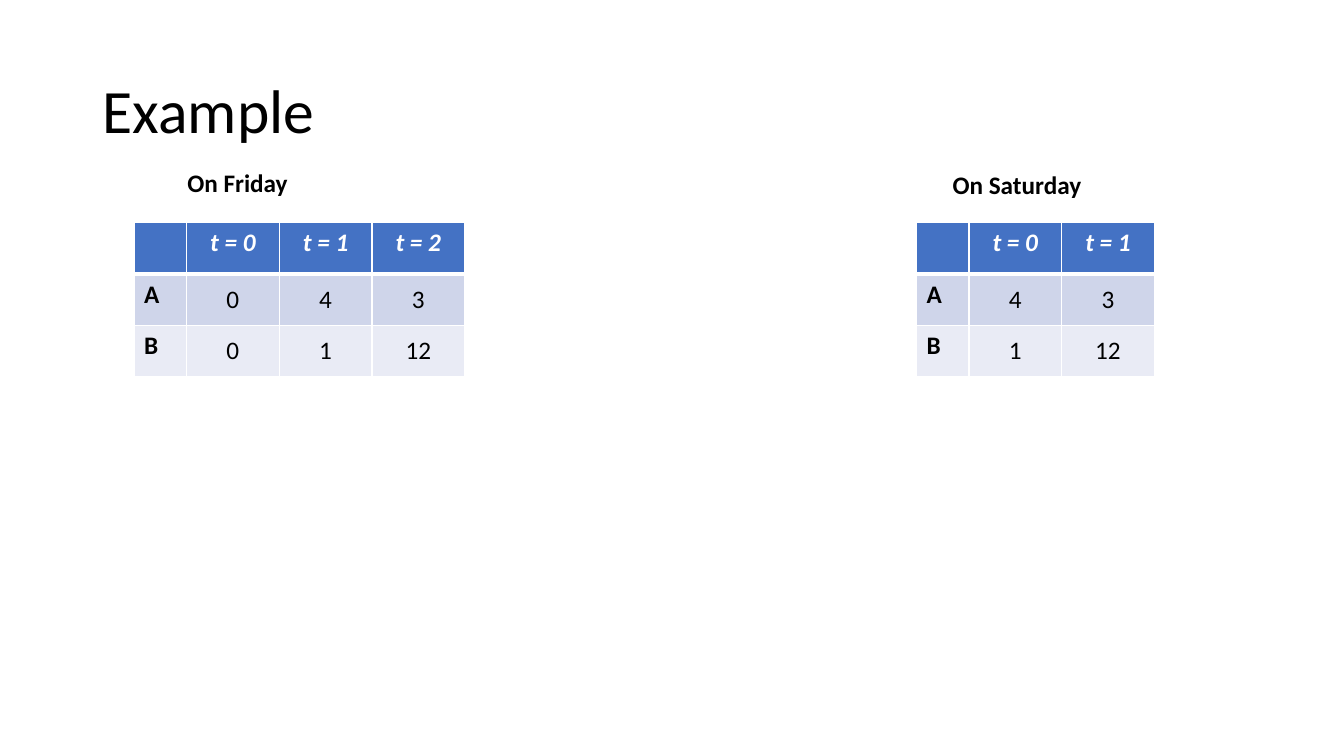
from lxml import etree
from pptx import Presentation
from pptx import util as u
from pptx.dml.color import RGBColor
from pptx.enum import text
from pptx.oxml import ns

PX = 9144  # EMU, 100 px to the inch
FONT = "Calibri"
BLACK = RGBColor(0x00, 0x00, 0x00)
WHITE = RGBColor(0xFF, 0xFF, 0xFF)
HEADER_BLUE = RGBColor(0x44, 0x72, 0xC4)
BANDS = [RGBColor(0xCF, 0xD5, 0xEA), RGBColor(0xE9, 0xEB, 0xF5)]

TABLE_TOP = 221
ROW_HEIGHT = 51
LABEL_WIDTH = 52
VALUE_WIDTH = 92

FRIDAY = [["", "t = 0", "t = 1", "t = 2"], ["A", "0", "4", "3"], ["B", "0", "1", "12"]]
SATURDAY = [["", "t = 0", "t = 1"], ["A", "4", "3"], ["B", "1", "12"]]


def px(length):
    return u.Emu(length * PX)


def write(frame, words, size=18, color=BLACK, bold=False, italic=False,
          align=text.PP_ALIGN.LEFT, spacing=1.0):
    para = frame.paragraphs[0]
    para.alignment = align
    para.line_spacing = spacing
    span = para.add_run()
    span.text = words
    font = span.font
    font.name, font.size, font.color.rgb = FONT, u.Pt(size), color
    font.bold, font.italic = bold, italic


def add_text(page, words, left, top, width, height,
             anchor=text.MSO_ANCHOR.TOP, **style):
    box = page.shapes.add_textbox(px(left), px(top), px(width), px(height))
    frame = box.text_frame
    frame.word_wrap = True
    frame.vertical_anchor = anchor
    write(frame, words, **style)


def set_borders(cell, top=1, bottom=1):
    """Draw white cell edges; widths are in points."""
    properties = cell._tc.get_or_add_tcPr()
    widths = {"a:lnL": 1, "a:lnR": 1, "a:lnT": top, "a:lnB": bottom}
    for position, (edge, width) in enumerate(widths.items()):
        line = etree.Element(ns.qn(edge), w=str(u.Pt(width)))
        fill = etree.SubElement(line, ns.qn("a:solidFill"))
        etree.SubElement(fill, ns.qn("a:srgbClr"), val=str(WHITE))
        properties.insert(position, line)


def format_cell(cell, words, row, column):
    is_header, is_label = row == 0, column == 0
    cell.fill.solid()
    cell.fill.fore_color.rgb = HEADER_BLUE if is_header else BANDS[(row - 1) % 2]
    set_borders(cell, top=3 if row == 1 else 1, bottom=3 if is_header else 1)
    if not (is_header or is_label):
        cell.vertical_anchor = text.MSO_ANCHOR.MIDDLE
    if words:
        write(cell.text_frame, words,
              color=WHITE if is_header else BLACK,
              bold=is_header or is_label, italic=is_header,
              align=text.PP_ALIGN.LEFT if is_label else text.PP_ALIGN.CENTER)


def add_payoffs(page, rows, left):
    widths = [LABEL_WIDTH] + [VALUE_WIDTH] * (len(rows[0]) - 1)
    table = page.shapes.add_table(
        len(rows), len(widths), px(left), px(TABLE_TOP),
        px(sum(widths)), px(ROW_HEIGHT * len(rows))).table
    for column, width in zip(table.columns, widths):
        column.width = px(width)
    for row, values in enumerate(rows):
        table.rows[row].height = px(ROW_HEIGHT)
        for column, words in enumerate(values):
            format_cell(table.cell(row, column), words, row, column)


def main():
    deck = Presentation()
    deck.slide_width, deck.slide_height = px(1333), px(750)
    page = deck.slides.add_slide(deck.slide_layouts[6])
    add_text(page, "Example", 92, 40, 1150, 145,
             anchor=text.MSO_ANCHOR.MIDDLE, size=44, spacing=0.9)
    add_payoffs(page, FRIDAY, 133)
    add_payoffs(page, SATURDAY, 909)
    add_text(page, "On Friday", 176, 161, 134, 40, bold=True)
    add_text(page, "On Saturday", 935, 163, 186, 40, bold=True)
    deck.save("out.pptx")


if __name__ == "__main__":
    main()
